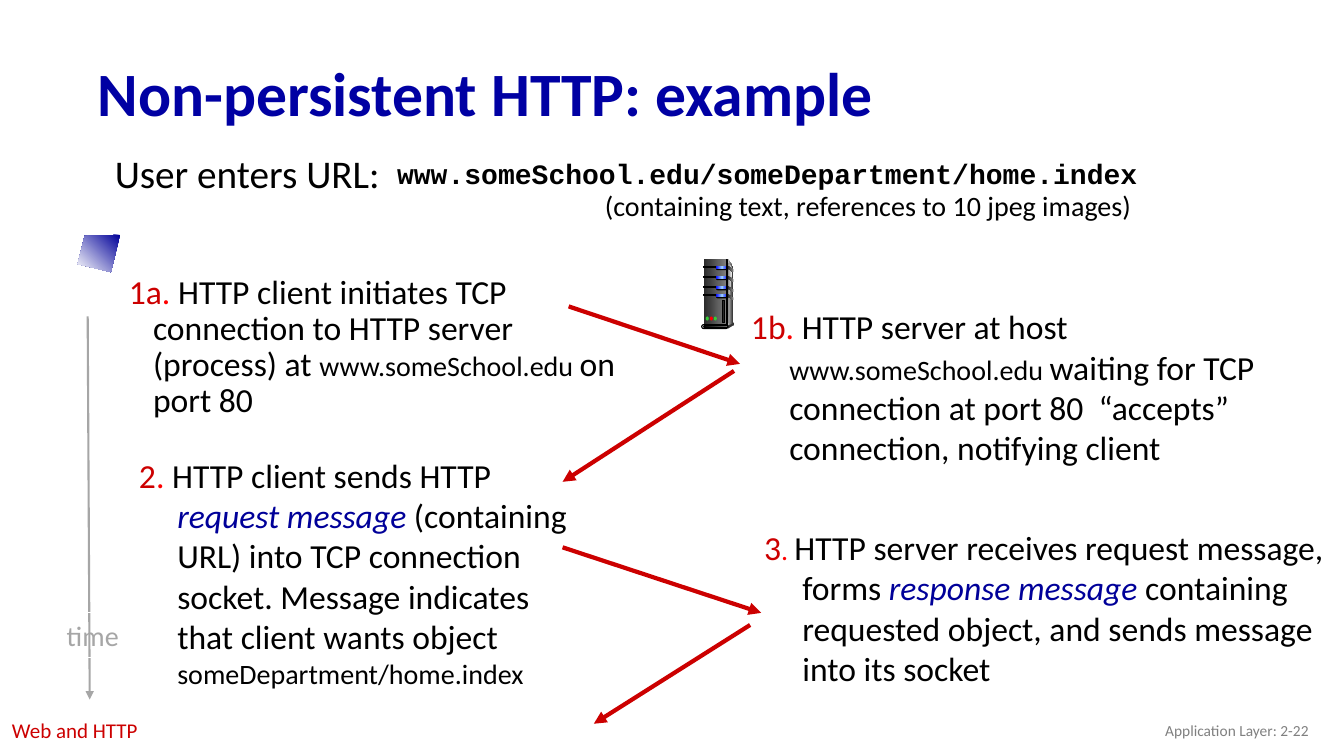
from lxml import etree
from pptx import Presentation, util as u
from pptx.dml.color import RGBColor
from pptx.enum import shapes, text
from pptx.oxml.ns import qn

RED, BRIGHT, NAVY, GRAY, BLACK = "CC0000", "FF0000", "000099", "A6A6A6", "000000"
RECT = shapes.MSO_SHAPE.RECTANGLE
PILL = shapes.MSO_SHAPE.ROUNDED_RECTANGLE
OVAL = shapes.MSO_SHAPE.OVAL
STEEL = ["292929", "808080"]
GLOW = ["0000FF", "99CCFF", "0000FF"]


def color(value):
    return RGBColor.from_string(value)


def paint(shape, fill, line=None, angle=0):
    shape.shadow.inherit = False
    if fill is None:
        shape.fill.background()
    elif isinstance(fill, str):
        shape.fill.solid()
        shape.fill.fore_color.rgb = color(fill)
    else:
        shape.fill.gradient()
        shape.fill.gradient_angle = angle
        stops = shape._element.spPr.find(".//" + qn("a:gsLst"))
        for stop in list(stops):
            stops.remove(stop)
        for index, value in enumerate(fill):
            position = str(index * 100000 // (len(fill) - 1))
            stop = etree.SubElement(stops, qn("a:gs"), pos=position)
            etree.SubElement(stop, qn("a:srgbClr"), val=value)
    if line:
        shape.line.color.rgb = color(line)
        shape.line.width = u.Pt(0.75)
    else:
        shape.line.fill.background()


def add_outline(parent, left, top, points, fill, angle=0):
    corners = [(u.Inches(left + x), u.Inches(top + y)) for x, y in points]
    builder = parent.build_freeform(*corners[0], scale=1.0)
    builder.add_line_segments(corners[1:], close=True)
    paint(builder.convert_to_shape(), fill, angle=angle)


def write(frame, spans, size, ink=BLACK, font="Calibri", bold=None,
          indent=None, spacing=None, align=None):
    para = frame.paragraphs[0]
    if indent:
        margin, first = indent
        properties = para._p.get_or_add_pPr()
        properties.set("marL", str(u.Inches(margin)))
        properties.set("indent", str(u.Inches(first)))
    if spacing:
        para.line_spacing = spacing
    if align:
        para.alignment = align
    para.font.name = font
    para.font.size = u.Pt(size)
    para.font.bold = bold
    para.font.color.rgb = color(ink)
    for words, style in spans:
        span = para.add_run()
        span.text = words
        if "ink" in style:
            span.font.color.rgb = color(style["ink"])
        if "size" in style:
            span.font.size = u.Pt(style["size"])
        if "italic" in style:
            span.font.italic = True


def add_text(page, box, spans, size, middle=False, **style):
    frame = page.shapes.add_textbox(*map(u.Inches, box)).text_frame
    frame.word_wrap = True
    if middle:
        frame.vertical_anchor = text.MSO_ANCHOR.MIDDLE
    if isinstance(spans, str):
        spans = [(spans, {})]
    write(frame, spans, size, **style)


def add_arrow(page, start, end, ink=RED, width=3):
    arrow = page.shapes.add_connector(
        shapes.MSO_CONNECTOR.STRAIGHT, *map(u.Inches, start + end))
    arrow.line.color.rgb = color(ink)
    arrow.line.width = u.Pt(width)
    etree.SubElement(arrow.line._get_or_add_ln(), qn("a:tailEnd"), type="triangle")
    etree.SubElement(arrow._element.spPr, qn("a:effectLst"))


def add_header(page, left, top):
    add_text(page, (left, top, 11.5, 0.98), "Non-persistent HTTP: example", 44,
             middle=True, ink="0000A3", bold=True, spacing=0.9)
    add_text(page, (left + 0.02, top + 1.01, 8.69, 0.51), "User enters URL:", 28,
             indent=(0.39, -0.24), spacing=0.9)
    add_text(page, (left + 4.25, top + 1.35, 6.98, 0.44),
             "(containing text, references to 10 jpeg images)", 20,
             align=text.PP_ALIGN.CENTER)
    add_text(page, (left + 2.97, top + 1.08, 8.69, 0.51),
             "www.someSchool.edu/someDepartment/home.index", 20,
             font="Courier New", bold=True, indent=(0.38, -0.38), spacing=0.85)


def add_timeline(page, left, top):
    add_arrow(page, (left + 0.32, top), (left + 0.34, top + 3.8), GRAY, 1.5)
    label = page.shapes.add_shape(
        RECT, *map(u.Inches, (left, top + 2.94, 0.74, 0.44)))
    paint(label, None, "FFFFFF")
    label.text_frame.word_wrap = False
    write(label.text_frame, [("time", {})], 20, ink=GRAY,
          align=text.PP_ALIGN.CENTER)


def add_steps(page):
    small, emphasis = {"size": 20}, {"ink": NAVY, "italic": True}
    steps = [
        ((1.03, 2.68, 5.3, 2.08), "1a", [
            (" HTTP client initiates TCP connection to HTTP server (process) at ", {}),
            ("www.someSchool.edu ", small), ("on port 80", {})]),
        ((1.28, 4.46, 4.61, 1.18), "2", [
            (" HTTP client sends HTTP ", {}), ("request message", emphasis),
            (" (containing URL) into TCP connection socket. Message indicates "
             "that client wants object ", {}),
            ("someDepartment/home.index", small)]),
        ((7.35, 2.99, 5.89, 1.65), "1b", [
            (" HTTP server at host ", {}), ("www.someSchool.edu ", small),
            ("waiting for TCP connection at port 80  “accepts” connection, "
             "notifying client", {})]),
        ((7.48, 5.18, 5.9, 1.97), "3", [
            ("HTTP server receives request message, forms ", {}),
            ("response message", emphasis),
            (" containing requested object, and sends message into its socket", {})]),
    ]
    for box, number, spans in steps:
        dot = (". ", {"ink": BRIGHT, "size": 20}) if number == "3" else (".", {"ink": BRIGHT})
        tight = number == "1a"
        add_text(page, box, [(number, {"ink": RED}), dot] + spans, 24,
                 indent=(0.39, -0.24) if tight else (0.38, -0.38),
                 spacing=0.9 if tight else None)


def add_server(page, left, top):
    parts = page.shapes.add_group_shape().shapes

    def part(kind, x, y, width, height, fill, line=None):
        shape = parts.add_shape(
            kind, *map(u.Inches, (left + x, top + y, width, height)))
        if kind == PILL:
            shape.adjustments[0] = 0.5
        paint(shape, fill, line)

    add_outline(parts, left, top, [(0.26, 0), (0.31, 0.08), (0.31, 0.64), (0.25, 0.67)],
                ["DDDDDD", "333333"])
    part(RECT, 0.02, 0, 0.23, 0.67, STEEL)
    add_outline(parts, left, top, [(0.26, 0.04), (0.3, 0.09), (0.27, 0.4), (0.26, 0.65)],
                ["808080", "F8F8F8"])
    for bay in (0.07, 0.17, 0.27, 0.35):
        part(RECT, 0.02, bay, 0.13, 0.01, BLACK, BLACK)
        part(PILL, 0.14, bay, 0.13, 0.04, BLACK)
        part(PILL, 0.14, bay, 0.12, 0.03, GLOW)
        add_outline(parts, left, top + bay,
                    [(0.26, 0), (0.31, 0.03), (0.31, 0.06), (0.26, 0.02)], STEEL)
    part(RECT, 0.25, 0, 0.01, 0.67, ["333333", "DDDDDD", "333333"], BLACK)
    part(OVAL, 0.31, 0.63, 0.01, 0.03, "333333")
    add_outline(parts, left, top, [(0.26, 0.66), (0.26, 0.69), (0.31, 0.66), (0.31, 0.64)],
                "333333")
    part(PILL, 0, 0.65, 0.26, 0.04, "DDDDDD", BLACK)
    part(PILL, 0.02, 0.66, 0.24, 0.02, [BLACK, "808080"], BLACK)
    for index, light in enumerate(("33CC33", BRIGHT, "33CC33")):
        part(OVAL, 0.04 + 0.04 * index, 0.57, 0.03, 0.04, light)
    part(RECT, 0.21, 0.41, 0.02, 0.22, "292929", BLACK)


def add_footer(page, top):
    add_text(page, (10.08, top, 3, 0.4), "Application Layer: 2-22", 11,
             middle=True, ink="808080", align=text.PP_ALIGN.RIGHT)
    add_text(page, (0.02, top + 0.02, 3.72, 0.35), "Web and HTTP", 15,
             ink=RED, indent=(0.44, -0.44))


def main():
    deck = Presentation()
    deck.slide_width, deck.slide_height = u.Inches(13.33), u.Inches(7.5)
    page = deck.slides.add_slide(deck.slide_layouts[6])
    add_header(page, 0.87, 0.47)
    add_timeline(page, 0.55, 3.14)
    add_steps(page)
    for start, end in [((5.64, 3.04), (7.34, 3.61)), ((7.28, 3.68), (5.58, 4.78)),
                       ((5.58, 5.43), (7.55, 6.08)), ((7.44, 6.2), (5.89, 7.18))]:
        add_arrow(page, start, end)
    add_outline(page.shapes, 0.77, 2.33, [(0.42, 0), (0.07, 0.01), (0, 0.29), (0.33, 0.37)],
                [NAVY, "FFFFFF"], angle=225)
    add_server(page, 6.96, 2.57)
    add_footer(page, 7.05)
    deck.save("out.pptx")


if __name__ == "__main__":
    main()
